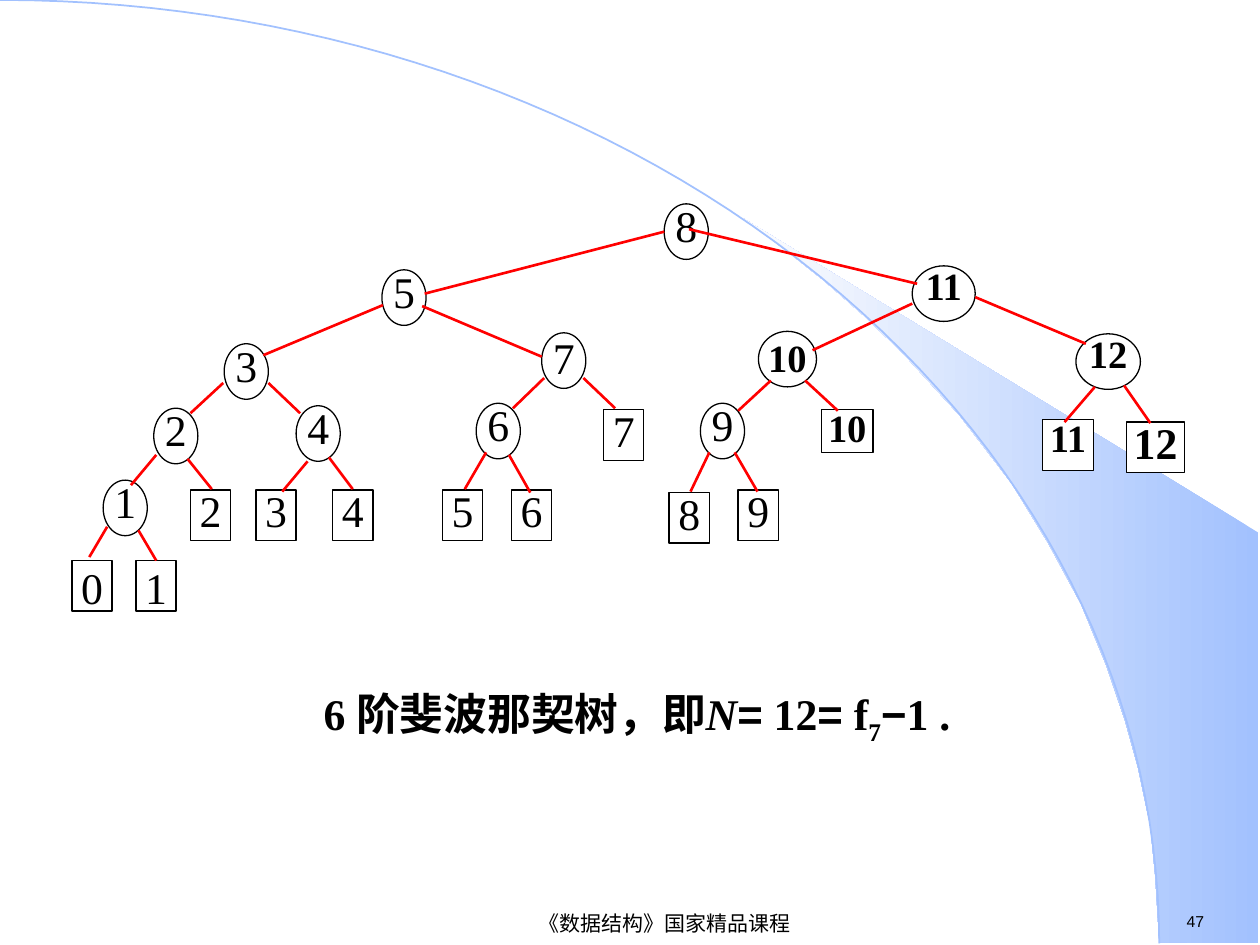
"""Build a slide showing the Fibonacci search tree of order 6."""
from dataclasses import dataclass
from math import cos, pi, sin

from lxml.etree import SubElement
from pptx import Presentation
from pptx.dml.color import RGBColor
from pptx.enum.shapes import MSO_CONNECTOR, MSO_SHAPE
from pptx.enum.text import MSO_ANCHOR, PP_ALIGN
from pptx.oxml.ns import qn
from pptx.util import Cm, Pt

BLACK = RGBColor(0x00, 0x00, 0x00)
WHITE = RGBColor(0xFF, 0xFF, 0xFF)
RED = RGBColor(0xFF, 0x00, 0x00)
BLUE = RGBColor(0xA2, 0xC1, 0xFE)
PALE = RGBColor(0xFE, 0xFE, 0xFE)
SERIF, SANS = "Times New Roman", "Arial"


@dataclass
class Inner:
    key: str
    x: float
    y: float
    w: float = 0.89
    h: float = 1.12
    size: int = 25
    bold: bool = False
    spacing: float = 0.72
    after: float = 4.6
    kind: MSO_SHAPE = MSO_SHAPE.OVAL


@dataclass
class Leaf(Inner):
    w: float = 0.81
    h: float = 1.02
    spacing: float = 0.9
    after: float = 0
    kind: MSO_SHAPE = MSO_SHAPE.RECTANGLE


@dataclass
class Edge:
    x1: float
    y1: float
    x2: float
    y2: float


NODES = [
    Inner("8", 13.39, 4.11),
    Inner("5", 7.7, 5.44),
    Inner("11", 18.39, 5.36, w=1.27, size=22, bold=True),
    Inner("3", 4.52, 6.93),
    Inner("7", 10.92, 6.71, spacing=0.8),
    Inner("10", 15.29, 6.68, w=1.17, size=22, bold=True, spacing=0.9, after=0),
    Inner("12", 21.69, 6.73, w=1.3, size=22, bold=True),
    Inner("2", 3.1, 8.23),
    Inner("4", 5.97, 8.18),
    Inner("6", 9.6, 8.13),
    Inner("9", 14.12, 8.13),
    Inner("1", 2.08, 9.68),
    Leaf("0", 1.45, 11.3, spacing=1.0),
    Leaf("1", 2.74, 11.3, spacing=1.0),
    Leaf("2", 3.84, 9.88),
    Leaf("3", 5.16, 9.88),
    Leaf("4", 6.71, 9.88),
    Leaf("5", 8.92, 9.88),
    Leaf("6", 10.31, 9.88),
    Leaf("7", 12.17, 8.26),
    Leaf("8", 13.49, 9.93),
    Leaf("9", 14.88, 9.88),
    Leaf("10", 16.56, 8.26, w=1.04, h=0.86, size=22, bold=True),
    Leaf("11", 21.01, 8.46, w=1.04, size=22, bold=True),
    Leaf("12", 22.71, 8.51, w=1.17, bold=True),
]

EDGES = [
    Edge(13.39, 4.67, 8.56, 5.92), Edge(13.89, 4.62, 18.49, 5.72),
    Edge(7.72, 6.15, 5.31, 7.16), Edge(8.51, 6.17, 10.92, 7.19),
    Edge(18.39, 6.12, 16.38, 7.06), Edge(19.66, 5.99, 21.89, 6.93),
    Edge(4.5, 7.72, 3.84, 8.33), Edge(5.41, 7.72, 6.05, 8.33),
    Edge(10.97, 7.62, 10.34, 8.23), Edge(11.76, 7.62, 12.4, 8.23),
    Edge(15.54, 7.67, 14.88, 8.28), Edge(16.23, 7.67, 16.89, 8.28),
    Edge(22.07, 7.8, 21.46, 8.51), Edge(22.66, 7.77, 23.19, 8.53),
    Edge(3.15, 9.17, 2.64, 9.78), Edge(3.78, 9.25, 4.27, 9.86),
    Edge(6.2, 9.3, 5.69, 9.91), Edge(6.63, 9.22, 7.11, 9.86),
    Edge(9.8, 9.12, 9.37, 9.86), Edge(10.26, 9.17, 10.69, 9.93),
    Edge(14.3, 9.12, 13.92, 9.91), Edge(14.81, 9.12, 15.27, 9.91),
    Edge(2.16, 10.62, 1.8, 11.23), Edge(2.79, 10.69, 3.15, 11.3),
]

BAND = [
    (23.37, 19.0), (25.37, 19.02), (25.37, 10.74), (14.96, 4.39), (15.85, 5.05),
    (16.59, 5.64), (17.4, 6.35), (18.19, 7.11), (19.35, 8.38), (20.4, 9.75),
    (21.13, 10.95), (21.79, 12.17), (22.3, 13.41), (22.68, 14.53),
    (22.94, 15.47), (23.19, 16.66), (23.29, 17.68),
]
ARC_RX, ARC_RY, ARC_STEPS = 23.37, 19.02, 60

CAPTION = [
    ("6 阶斐波那契树，即", SERIF), ("N", SERIF), ("=", SANS), (" 12", SERIF),
    ("=", SANS), (" f", SERIF), ("7", SERIF), ("−", SANS), ("1 . ", SERIF),
]


def add_outline(s, points: list, close: bool):
    """Add a freeform through points given in centimetres."""
    start, *rest = [(Cm(x), Cm(y)) for x, y in points]
    fb = s.shapes.build_freeform(*start)
    fb.add_line_segments(rest, close=close)
    sp = fb.convert_to_shape()
    sp.shadow.inherit = False
    return sp


def add_backdrop(s) -> None:
    """Draw the shaded band and the large arc."""
    band = add_outline(s, BAND, True)
    band.line.fill.background()
    band.fill.gradient()
    band.fill.gradient_angle = 180
    for stop, color in zip(band.fill.gradient_stops, (BLUE, PALE)):
        stop.color.rgb = color
    angles = [pi / 2 * i / ARC_STEPS for i in range(ARC_STEPS + 1)]
    arc = add_outline(s, [(ARC_RX * sin(a), ARC_RY * (1 - cos(a))) for a in angles], False)
    arc.fill.background()
    arc.line.color.rgb = BLUE
    arc.line.width = Pt(1)


def clear_margins(tf) -> None:
    """Remove the inner margins of a text frame."""
    tf.margin_left = tf.margin_right = tf.margin_top = tf.margin_bottom = 0


def set_font(font, name: str, size: int, bold: bool = False) -> None:
    """Give a font its face, size, weight and black colour."""
    font.name, font.size, font.bold = name, Pt(size), bold
    font.color.rgb = BLACK


def add_node(s, node: Inner) -> None:
    """Draw one tree node with its key."""
    sp = s.shapes.add_shape(node.kind, Cm(node.x), Cm(node.y), Cm(node.w), Cm(node.h))
    sp.shadow.inherit = False
    sp.fill.solid()
    sp.fill.fore_color.rgb = WHITE
    sp.line.color.rgb = BLACK
    sp.line.width = Pt(0.75)
    tf = sp.text_frame
    clear_margins(tf)
    tf.vertical_anchor = MSO_ANCHOR.TOP
    p = tf.paragraphs[0]
    p.text = node.key
    p.alignment = PP_ALIGN.CENTER
    p.line_spacing = node.spacing
    p.space_after = Pt(node.after)
    set_font(p.font, SERIF, node.size, node.bold)


def add_edge(s, edge: Edge) -> None:
    """Draw one red branch."""
    line = s.shapes.add_connector(
        MSO_CONNECTOR.STRAIGHT, Cm(edge.x1), Cm(edge.y1), Cm(edge.x2), Cm(edge.y2))
    line.line.color.rgb = RED
    line.line.width = Pt(1.5)
    SubElement(line._element.spPr, qn("a:effectLst"))


def add_text(s, x: float, y: float, w: float, h: float, align: PP_ALIGN):
    """Add a wrapping text box and return its frame and paragraph."""
    tf = s.shapes.add_textbox(Cm(x), Cm(y), Cm(w), Cm(h)).text_frame
    tf.word_wrap = True
    p = tf.paragraphs[0]
    p.alignment = align
    return tf, p


def add_caption(s) -> None:
    """Write the formula below the tree."""
    tf, p = add_text(s, 3.4, 13.61, 19.1, 1.5, PP_ALIGN.CENTER)
    clear_margins(tf)
    p.line_spacing = 1.2
    p.space_after = Pt(9.4)
    for text, face in CAPTION:
        r = p.add_run()
        r.text = text
        set_font(r.font, face, 25, True)
        r.font.italic = text == "N"
        if text == "7":
            r.font._element.set("baseline", "-25000")


def main() -> None:
    """Assemble and save the slide."""
    prs = Presentation()
    prs.slide_width, prs.slide_height = Cm(25.4), Cm(19.05)
    s = prs.slides.add_slide(prs.slide_layouts[6])
    add_backdrop(s)
    _, p = add_text(s, 23.67, 18.26, 1.7, 0.64, PP_ALIGN.LEFT)
    p.text = "47"
    set_font(p.font, SANS, 9)
    tf, p = add_text(s, 6.1, 18.31, 14.6, 0.61, PP_ALIGN.CENTER)
    tf.vertical_anchor = MSO_ANCHOR.MIDDLE
    p.text = "《数据结构》国家精品课程"
    set_font(p.font, SANS, 12)
    add_caption(s)
    for node in NODES:
        add_node(s, node)
    for edge in EDGES:
        add_edge(s, edge)
    prs.save("out.pptx")


if __name__ == "__main__":
    main()
